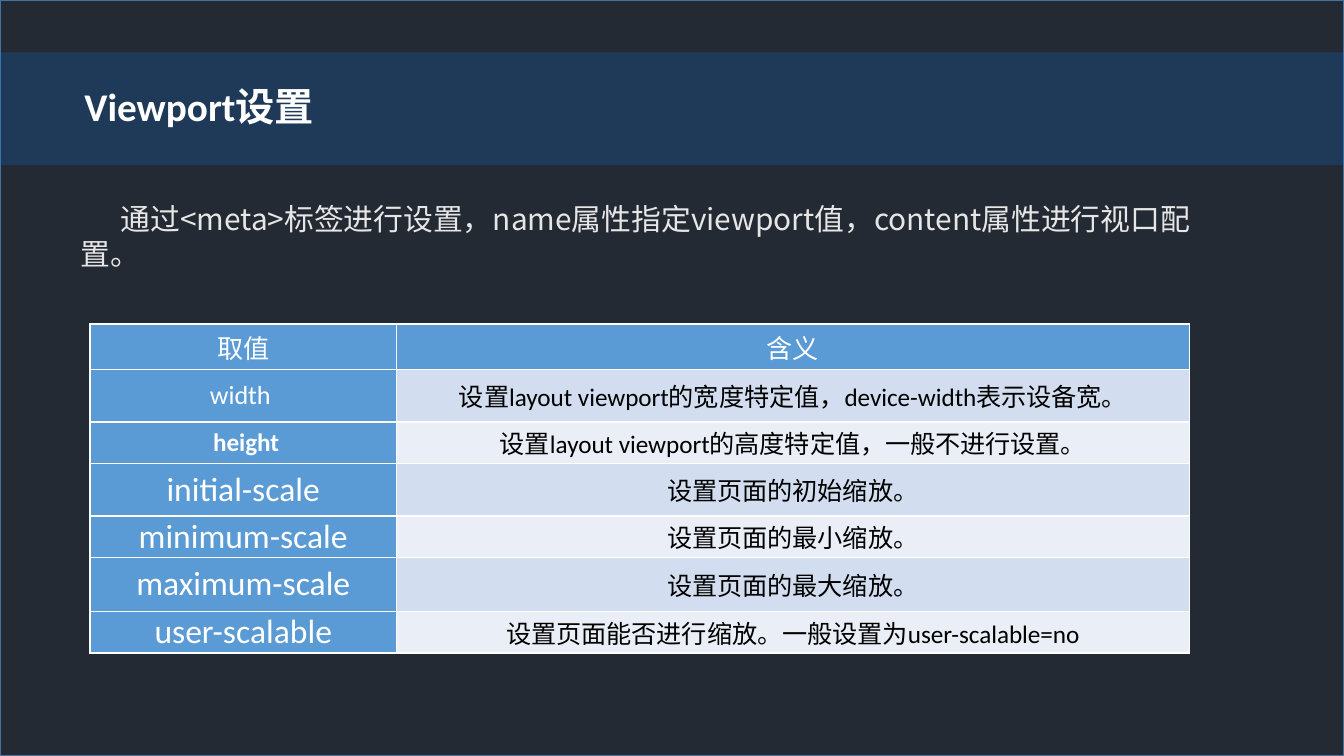
import pptx
import pptx.dml.color
import pptx.enum.shapes
import pptx.enum.text
import pptx.oxml.ns
import pptx.util
from lxml import etree

Inches = pptx.util.Inches
Pt = pptx.util.Pt
qn = pptx.oxml.ns.qn

COLORS = {
    "background": "232A34",
    "outline": "43739E",
    "band": "137EEC",
    "intro": "E7E6E6",
    "white": "FFFFFF",
    "black": "000000",
    "key": "5B9BD5",
    "odd": "D2DEEF",
    "even": "EAEFF7",
}
CJK = "Noto Sans CJK SC"
SLIDE_WIDTH = 10
SLIDE_HEIGHT = SLIDE_WIDTH * 9 / 16

HEADINGS = ("取值", "含义")
SETTINGS = [
    ("width ", 14, False, "设置layout viewport的宽度特定值，device-width表示设备宽。"),
    (" height", 13.5, True, "设置layout viewport的高度特定值，一般不进行设置。"),
    ("initial-scale", 18, False, "设置页面的初始缩放。"),
    ("minimum-scale", 18, False, "设置页面的最小缩放。"),
    ("maximum-scale", 18, False, "设置页面的最大缩放。"),
    ("user-scalable", 18, False, "设置页面能否进行缩放。一般设置为user-scalable=no"),
]
COLUMN_WIDTHS = (2.28, 5.9)
ROW_HEIGHTS = (0.34, 0.39, 0.31, 0.39, 0.31, 0.4, 0.31)


def rgb(name):
    return pptx.dml.color.RGBColor.from_string(COLORS[name])


def write(frame, text, size=14, color="white", bold=False, font="Calibri",
          align=pptx.enum.text.PP_ALIGN.LEFT, indent=0):
    paragraph = frame.paragraphs[0]
    paragraph.alignment = align
    if indent:
        paragraph._p.get_or_add_pPr().set("indent", str(Inches(indent)))
    run = paragraph.add_run()
    run.text = text
    run.font.size = Pt(size)
    run.font.bold = bold
    run.font.color.rgb = rgb(color)
    run.font.name = font
    etree.SubElement(run._r.get_or_add_rPr(), qn("a:ea"), typeface=CJK)


def add_text(slide, left, top, width, height, text, **style):
    frame = slide.shapes.add_textbox(
        Inches(left), Inches(top), Inches(width), Inches(height)).text_frame
    frame.word_wrap = True
    write(frame, text, **style)


def add_panel(slide, top, height, color, line=None, opacity=100):
    panel = slide.shapes.add_shape(
        pptx.enum.shapes.MSO_SHAPE.RECTANGLE,
        0, Inches(top), Inches(SLIDE_WIDTH), Inches(height))
    panel.shadow.inherit = False
    panel.fill.solid()
    panel.fill.fore_color.rgb = rgb(color)
    if opacity < 100:
        tint = panel._element.spPr.find(qn("a:solidFill"))[0]
        etree.SubElement(tint, qn("a:alpha"), val=str(opacity * 1000))
    if line:
        panel.line.color.rgb = rgb(line)
        panel.line.width = Pt(1)
    else:
        panel.line.fill.background()


def add_borders(cell):
    properties = cell._tc.get_or_add_tcPr()
    for position, side in enumerate(("lnL", "lnR", "lnT", "lnB")):
        border = etree.Element(qn(f"a:{side}"), w=str(Pt(1)))
        fill = etree.SubElement(border, qn("a:solidFill"))
        etree.SubElement(fill, qn("a:srgbClr"), val=COLORS["white"])
        properties.insert(position, border)


def fill_cell(cell, text, fill, **style):
    cell.margin_left = cell.margin_right = Inches(0.12)
    cell.margin_top = cell.margin_bottom = 0
    cell.vertical_anchor = pptx.enum.text.MSO_ANCHOR.MIDDLE
    cell.fill.solid()
    cell.fill.fore_color.rgb = rgb(fill)
    add_borders(cell)
    write(cell.text_frame, text, align=pptx.enum.text.PP_ALIGN.CENTER, **style)


def add_settings_table(slide):
    table = slide.shapes.add_table(
        len(ROW_HEIGHTS), len(COLUMN_WIDTHS), Inches(0.67), Inches(2.41),
        Inches(sum(COLUMN_WIDTHS)), Inches(sum(ROW_HEIGHTS))).table
    for column, width in zip(table.columns, COLUMN_WIDTHS):
        column.width = Inches(width)
    for row, height in zip(table.rows, ROW_HEIGHTS):
        row.height = Inches(height)
    for index, heading in enumerate(HEADINGS):
        fill_cell(table.cell(0, index), heading, "key")
    for index, (key, size, bold, meaning) in enumerate(SETTINGS, start=1):
        fill_cell(table.cell(index, 0), key, "key", size=size, bold=bold)
        fill_cell(table.cell(index, 1), meaning, "odd" if index % 2 else "even",
                  size=13.5, color="black")


def main():
    deck = pptx.Presentation()
    deck.slide_width = Inches(SLIDE_WIDTH)
    deck.slide_height = Inches(SLIDE_HEIGHT)
    slide = deck.slides.add_slide(deck.slide_layouts[6])
    add_panel(slide, 0, SLIDE_HEIGHT, "background", line="outline")
    add_panel(slide, 0.39, 0.84, "band", opacity=20)
    add_text(slide, 0.5, 1.44, 8.57, 1.25,
             "通过<meta>标签进行设置，name属性指定viewport值，content属性进行视口配置。",
             size=16, color="intro", font=CJK, indent=0.3)
    add_text(slide, 0.53, 0.56, 9.2, 0.45, "Viewport设置", size=21, bold=True)
    add_settings_table(slide)
    deck.save("out.pptx")


if __name__ == "__main__":
    main()
